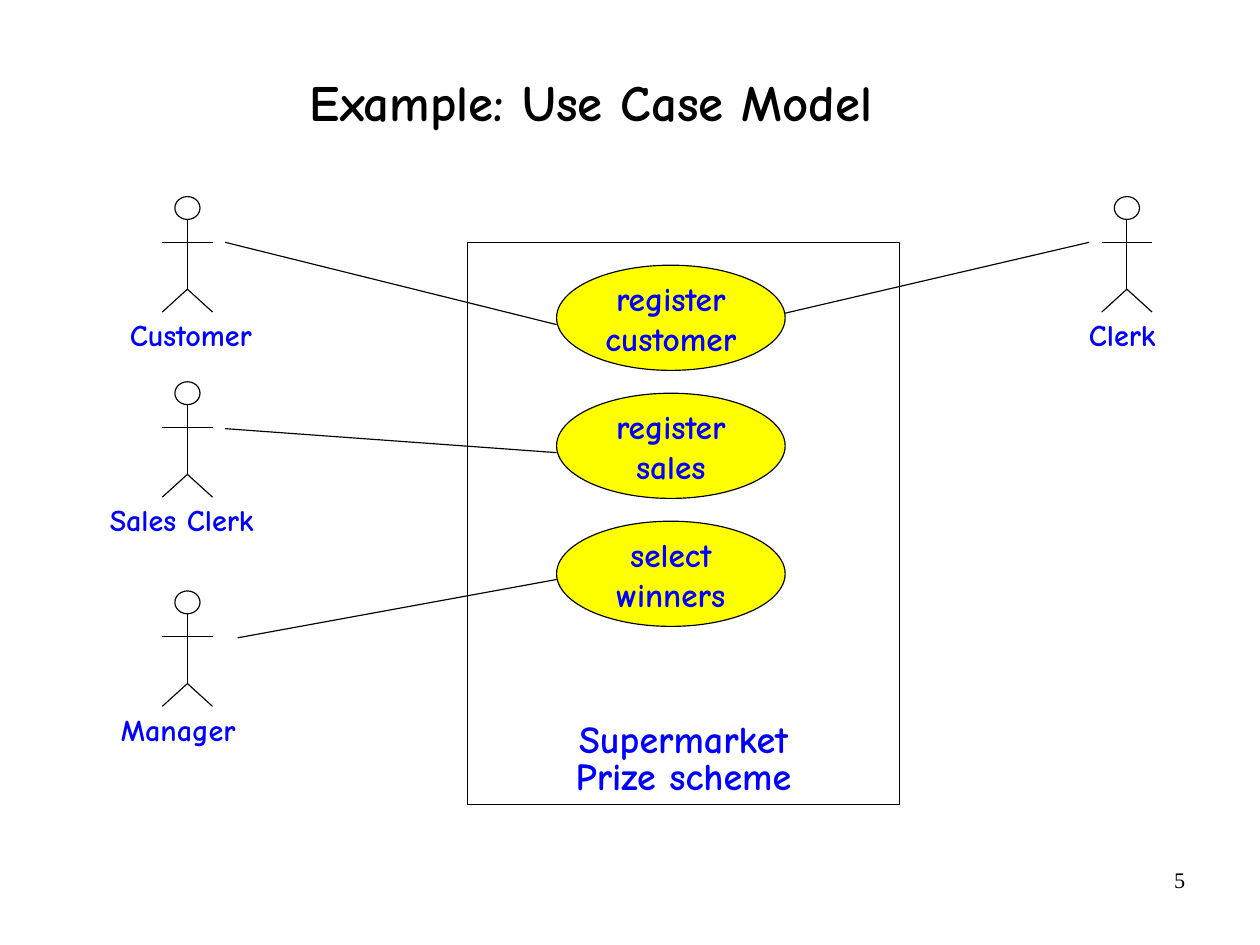
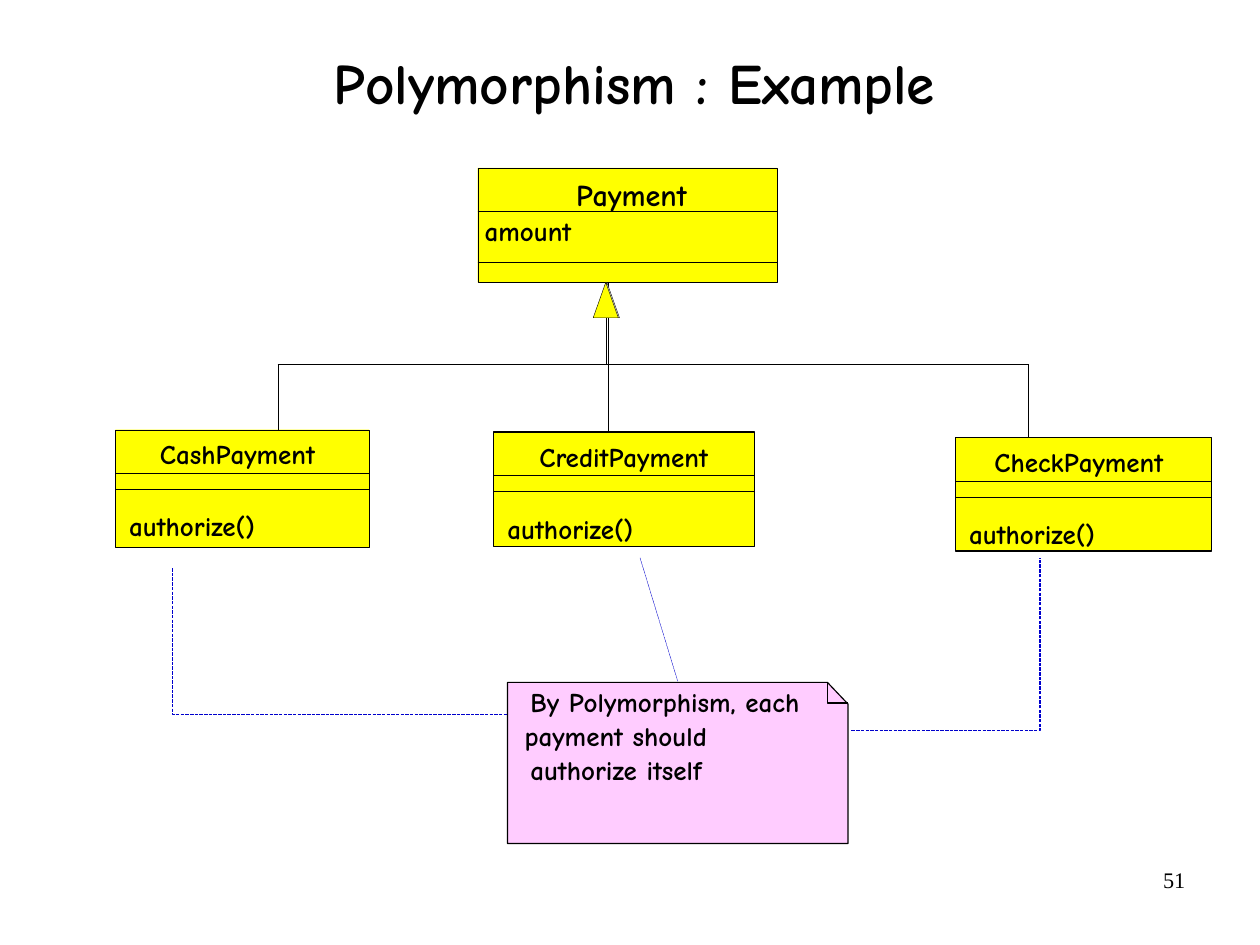
"""Builds two UML slides: a use case model and a polymorphism example."""
import pptx
import pptx.dml.color
import pptx.enum.dml
import pptx.enum.shapes
import pptx.enum.text
import pptx.oxml
import pptx.oxml.ns
import pptx.util

Inches = pptx.util.Inches
Kind = pptx.enum.shapes.MSO_SHAPE
Align = pptx.enum.text.PP_ALIGN
Anchor = pptx.enum.text.MSO_ANCHOR


class Theme:
    black, white, blue = "000000", "FFFFFF", "0000FF"
    yellow, pink, navy = "FFFF00", "FFCCFF", "0000CC"
    font, serif = "Comic Neue", "Times New Roman"
    page, note, name, case, system = 14, 17, 19, 21, 24
    line, thin, hair = 0.75, 0.25, 0


SIZE = (793.75 / 72, 595.25 / 72)
PAGE = (7.9, 7.53, 2.57, 0.57)

USE = {"title": "Example: Use Case Model", "box": (0.49, 0.2, 9.37, 1.42),
       "size": 32, "space": 0.94, "page": "5"}
SYSTEM = ((4.09, 2.12, 3.78, 4.92), ["Supermarket", "Prize scheme"])
CASES = [["register", "customer"], ["register", "sales"], ["select", "winners"]]
CASE = {"left": 4.87, "top": 2.32, "step": 1.12, "wide": 2, "high": 0.92}
ACTORS = [
    ("Customer", 1.64, 1.72, 1.67),
    ("Sales Clerk", 1.64, 3.34, 1.59),
    ("Manager", 1.64, 5.17, 1.56),
    ("Clerk", 9.86, 1.72, 9.82),
]
LIMBS = [
    ((0, 0.2), (0, 0.81)),
    ((-0.22, 0.4), (0.22, 0.4)),
    ((0, 0.81), (-0.22, 1.01)),
    ((0, 0.81), (0.22, 1.01)),
]
LINKS = [
    ((4.87, 2.84), (1.97, 2.12)),
    ((4.87, 3.96), (1.97, 3.75)),
    ((4.87, 5.07), (2.08, 5.58)),
    ((6.87, 2.74), (9.53, 2.12)),
]

POLY = {"title": "Polymorphism : Example", "box": (0.85, 0.3, 9.4, 0.92),
        "size": 36, "space": 0.88, "page": "51"}
CHILD = {"rules": (0.38, 0.52), "text": "authorize()", "spot": (0.12, 0.7),
         "size": Theme.note}
CLASSES = [
    {"name": "CreditPayment", "box": (4.32, 3.78, 2.28, 1), "lead": 0.4,
     "line": Theme.hair, **CHILD},
    {"name": "CheckPayment", "box": (8.36, 3.83, 2.24, 0.99), "lead": 0.34,
     "line": Theme.hair, **CHILD},
    {"name": "CashPayment", "box": (1.01, 3.76, 2.22, 1.03), "lead": 0.39,
     "line": Theme.thin, **CHILD},
    {"name": "Payment", "box": (4.18, 1.47, 2.62, 1), "lead": 0.86,
     "line": Theme.thin, "rules": (0.38, 0.82), "text": "amount",
     "spot": (0.06, 0.41), "size": Theme.name},
]
TREE = [
    ((5.32, 3.77), (5.32, 2.47)),
    ((5.3, 3.19), (5.3, 2.47)),
    ((2.43, 3.19), (9, 3.19)),
    ((9, 3.83), (9, 3.19)),
    ((2.43, 3.76), (2.43, 3.19)),
]
HEADS = [(5.2, Theme.white), (5.19, Theme.yellow)]
SHEET = [(4.44, 5.97), (7.24, 5.97), (7.42, 6.16), (7.42, 7.38), (4.44, 7.38)]
FOLD = [(7.24, 5.97), (7.24, 6.15), (7.42, 6.15)]
DASHES = [
    [(5.6, 4.88), (5.93, 5.96)],
    [(7.45, 6.39), (9.1, 6.39), (9.1, 4.88)],
    [(1.51, 4.97), (1.51, 6.25), (4.44, 6.25)],
]
NOTE = [("By Polymorphism, each", 0.05), ("payment should", 0),
        ("authorize itself", 0.05)]


def inch(*nums):
    return [Inches(num) for num in nums]


def tint(text):
    return pptx.dml.color.RGBColor.from_string(text)


def write(frame, lines, size, color=Theme.black, align=Align.LEFT,
          anchor=Anchor.TOP, inset=(0, 0), wrap=False, space=None,
          font=Theme.font, bold=True):
    frame.word_wrap = wrap
    frame.vertical_anchor = anchor
    frame.margin_left = frame.margin_right = Inches(inset[0])
    frame.margin_top = frame.margin_bottom = Inches(inset[1])
    frame.text = "\n".join(lines)
    for para in frame.paragraphs:
        para.alignment = align
        if space:
            para.line_spacing = space
        para.font.name = font
        para.font.size = pptx.util.Pt(size)
        para.font.bold = bold
        para.font.color.rgb = tint(color)


def label(slide, box, lines, size, **style):
    frame = slide.shapes.add_textbox(*inch(*box)).text_frame
    write(frame, lines, size, **style)
    return frame


def paint(shape, fill, width, color=Theme.black):
    shape.shadow.inherit = False
    if fill:
        shape.fill.solid()
        shape.fill.fore_color.rgb = tint(fill)
    else:
        shape.fill.background()
    shape.line.color.rgb = tint(color)
    shape.line.width = pptx.util.Pt(width)
    return shape


def block(slide, kind, box, fill=None, width=Theme.line):
    return paint(slide.shapes.add_shape(kind, *inch(*box)), fill, width)


def path(slide, dots, fill=None, color=Theme.black, close=False):
    pen = slide.shapes.build_freeform(*inch(*dots[0]))
    pen.add_line_segments([inch(*dot) for dot in dots[1:]], close=close)
    return paint(pen.convert_to_shape(), fill, Theme.hair, color)


def link(slide, start, end, width=Theme.line, color=Theme.black):
    line = slide.shapes.add_connector(
        pptx.enum.shapes.MSO_CONNECTOR.STRAIGHT, *inch(*start, *end))
    line.line.color.rgb = tint(color)
    line.line.width = pptx.util.Pt(width)
    line._element.spPr.append(
        pptx.oxml.parse_xml("<a:effectLst %s/>" % pptx.oxml.ns.nsdecls("a")))
    return line


def start(deck, info):
    slide = deck.slides.add_slide(deck.slide_layouts[6])
    label(slide, PAGE, [info["page"]], Theme.page, align=Align.RIGHT,
          inset=(0.1, 0.05), wrap=True, font=Theme.serif, bold=False)
    label(slide, info["box"], [info["title"]], info["size"],
          align=Align.CENTER, anchor=Anchor.MIDDLE, wrap=True,
          space=info["space"])
    return slide


def actor(slide, name, mid, top, center):
    block(slide, Kind.OVAL, (mid - 0.11, top, 0.22, 0.2))
    for limb in LIMBS:
        link(slide, *[(mid + x, top + y) for x, y in limb])
    label(slide, (center - 0.8, top + 0.99, 1.6, 0.43), [name], Theme.name,
          color=Theme.blue, align=Align.CENTER, inset=(0.11, 0.06), wrap=True)


def model(deck):
    slide = start(deck, USE)
    style = {"color": Theme.blue, "align": Align.CENTER, "inset": (0.11, 0.06)}
    box, lines = SYSTEM
    write(block(slide, Kind.RECTANGLE, box).text_frame, lines, Theme.system,
          anchor=Anchor.BOTTOM, space=0.8, **style)
    for row, lines in enumerate(CASES):
        top = CASE["top"] + row * CASE["step"]
        oval = block(slide, Kind.OVAL,
                     (CASE["left"], top, CASE["wide"], CASE["high"]),
                     Theme.yellow)
        write(oval.text_frame, lines, Theme.case, anchor=Anchor.MIDDLE, **style)
    for item in ACTORS:
        actor(slide, *item)
    for ends in LINKS:
        link(slide, *ends)


def card(slide, item):
    left, top, wide, high = item["box"]
    block(slide, Kind.RECTANGLE, item["box"], Theme.yellow, item["line"])
    for rule in item["rules"]:
        link(slide, (left, top + rule), (left + wide, top + rule), Theme.thin)
    label(slide, (left + item["lead"], top + 0.07, 1.5, 0.3),
          [item["name"]], item["size"])
    x, y = item["spot"]
    label(slide, (left + x, top + y, 1.2, 0.28), [item["text"]], Theme.note)


def family(deck):
    slide = start(deck, POLY)
    for item in CLASSES:
        card(slide, item)
    for ends in TREE:
        link(slide, *ends, Theme.thin)
    for left, fill in HEADS:
        block(slide, Kind.ISOSCELES_TRIANGLE, (left, 2.47, 0.22, 0.31), fill,
              Theme.thin)
    path(slide, SHEET, Theme.pink, close=True)
    path(slide, FOLD)
    for dots in DASHES:
        if len(dots) == 2:
            dash = link(slide, *dots, Theme.thin, Theme.navy)
        else:
            dash = path(slide, dots, color=Theme.navy)
        dash.line.dash_style = pptx.enum.dml.MSO_LINE.SQUARE_DOT
    frame = label(slide, (4.59, 6, 2.6, 0.86), [text for text, _ in NOTE],
                  Theme.note)
    for para, (_, indent) in zip(frame.paragraphs, NOTE):
        para.space_after = pptx.util.Pt(1)
        para._p.get_or_add_pPr().set("marL", str(Inches(indent)))


def main():
    deck = pptx.Presentation()
    deck.slide_width, deck.slide_height = inch(*SIZE)
    model(deck)
    family(deck)
    deck.save("out.pptx")


if __name__ == "__main__":
    main()
